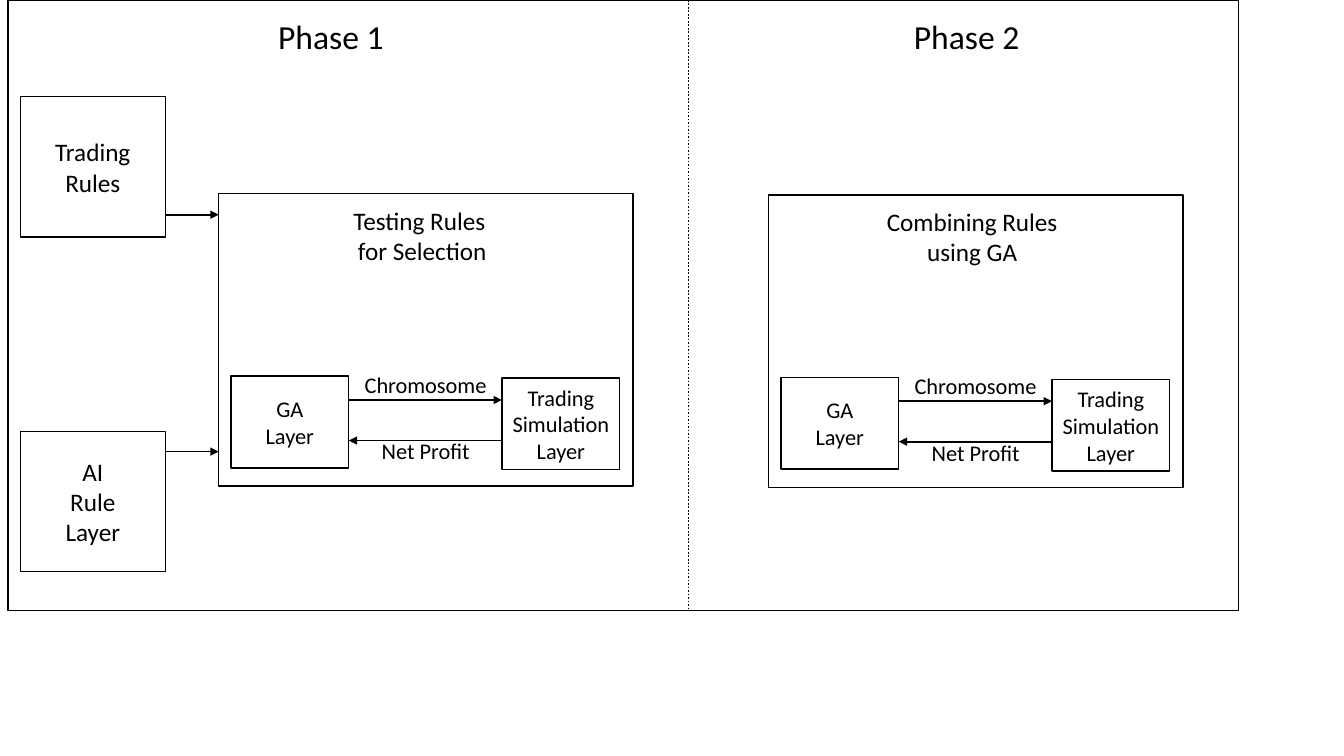
"""Build the two-phase trading rule diagram slide."""
from lxml.etree import SubElement
from pptx import Presentation
from pptx.dml.color import RGBColor
from pptx.enum.dml import MSO_LINE
from pptx.enum.shapes import MSO_CONNECTOR, MSO_SHAPE
from pptx.enum.text import MSO_ANCHOR, PP_ALIGN
from pptx.oxml.ns import qn
from pptx.util import Cm, Pt

BLACK, WHITE = "000000", "FFFFFF"


def add_block(kind, x, y, w, h, lines=(), size=18, align=PP_ALIGN.CENTER):
    """Add a box or a plain label with one paragraph per line."""
    area = Cm(x), Cm(y), Cm(w), Cm(h)
    if kind == "label":
        sp = s.shapes.add_textbox(*area)
    else:
        sp = s.shapes.add_shape(MSO_SHAPE.RECTANGLE, *area)
        sp.shadow.inherit = False
        sp.fill.solid()
        sp.fill.fore_color.rgb = RGBColor.from_string(WHITE)
        sp.line.color.rgb = RGBColor.from_string(BLACK)
        sp.line.width = Pt(1)
    tf = sp.text_frame
    tf.word_wrap = True
    tf.vertical_anchor = MSO_ANCHOR.TOP if kind == "label" else MSO_ANCHOR.MIDDLE
    for i, text in enumerate(lines):
        p = tf.add_paragraph() if i else tf.paragraphs[0]
        p.alignment = align
        r = p.add_run()
        r.text = text
        r.font.name = "Calibri"
        r.font.size = Pt(size)
        r.font.color.rgb = RGBColor.from_string(BLACK)
    return sp


def add_line(x1, y1, x2, y2, arrow=True):
    """Add a solid arrow or a dotted divider."""
    cn = s.shapes.add_connector(MSO_CONNECTOR.STRAIGHT, Cm(x1), Cm(y1), Cm(x2), Cm(y2))
    cn.line.color.rgb = RGBColor.from_string(BLACK)
    cn.line.width = Pt(1.25)
    if arrow:
        SubElement(cn.line._get_or_add_ln(), qn("a:tailEnd"), type="triangle")
    else:
        cn.line.dash_style = MSO_LINE.ROUND_DOT
    SubElement(cn._element.spPr, qn("a:effectLst"))


prs = Presentation()
prs.slide_width, prs.slide_height = Cm(33.87), Cm(19.05)
s = prs.slides.add_slide(prs.slide_layouts[6])

add_line(17.35, 0, 17.35, 15.39, arrow=False)
for x, text in ((6.76, "Phase 1"), (22.78, "Phase 2")):
    add_block("label", x, 0.28, 3.53, 1.27, [text], 24, PP_ALIGN.LEFT)

sources = (
    (2.44, ["Trading Rules"], 5.41),
    (10.87, ["AI", "Rule", "Layer"], 11.38),
)
for y, lines, arrow_y in sources:
    add_block("box", 0.51, y, 3.66, 3.53, lines)
    add_line(4.17, arrow_y, 5.51, arrow_y)

phases = (
    (5.51, 4.88, ["Testing Rules ", "for Selection"]),
    (19.37, 4.91, ["Combining Rules using GA"]),
)
for x, y, heading in phases:
    add_block("box", x, y, 10.44, 7.37)
    add_block("label", x + 2.44, y + 0.17, 5.38, 1.8, heading)
    add_block("box", x + 7.14, y + 4.65, 2.97, 2.31, ["Trading Simulation Layer"], 16)
    add_block("box", x + 0.31, y + 4.6, 2.97, 2.31, ["GA", "Layer"], 16)
    add_line(x + 3.28, y + 5.2, x + 7.14, y + 5.2)
    add_line(x + 7.14, y + 6.22, x + 3.28, y + 6.22)
    for dx, dy, text in ((3.43, 4.34, "Chromosome"), (3.86, 6.02, "Net Profit")):
        add_block("label", x + dx, y + dy, 3.86, 0.94, [text], 16, PP_ALIGN.LEFT)

frame = add_block("box", 0.2, 0, 31.01, 15.39)
frame.fill.background()

prs.save("out.pptx")
